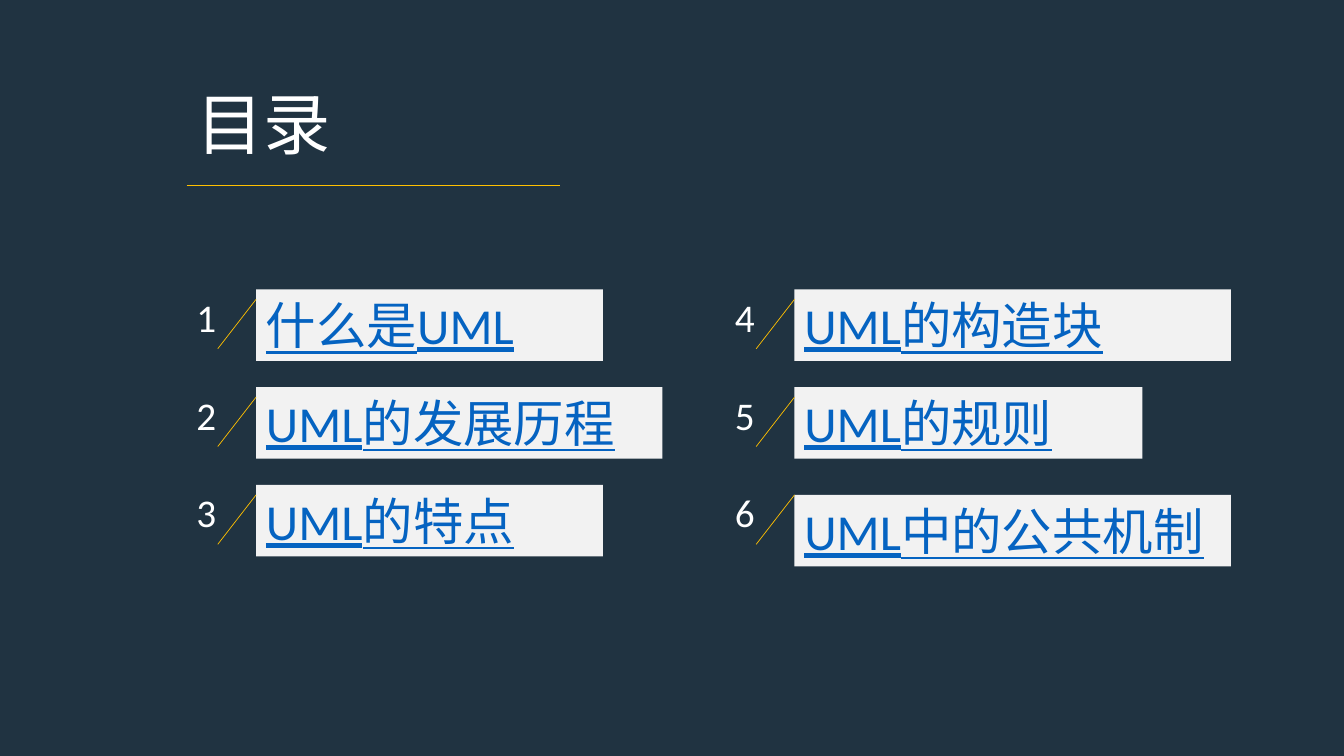
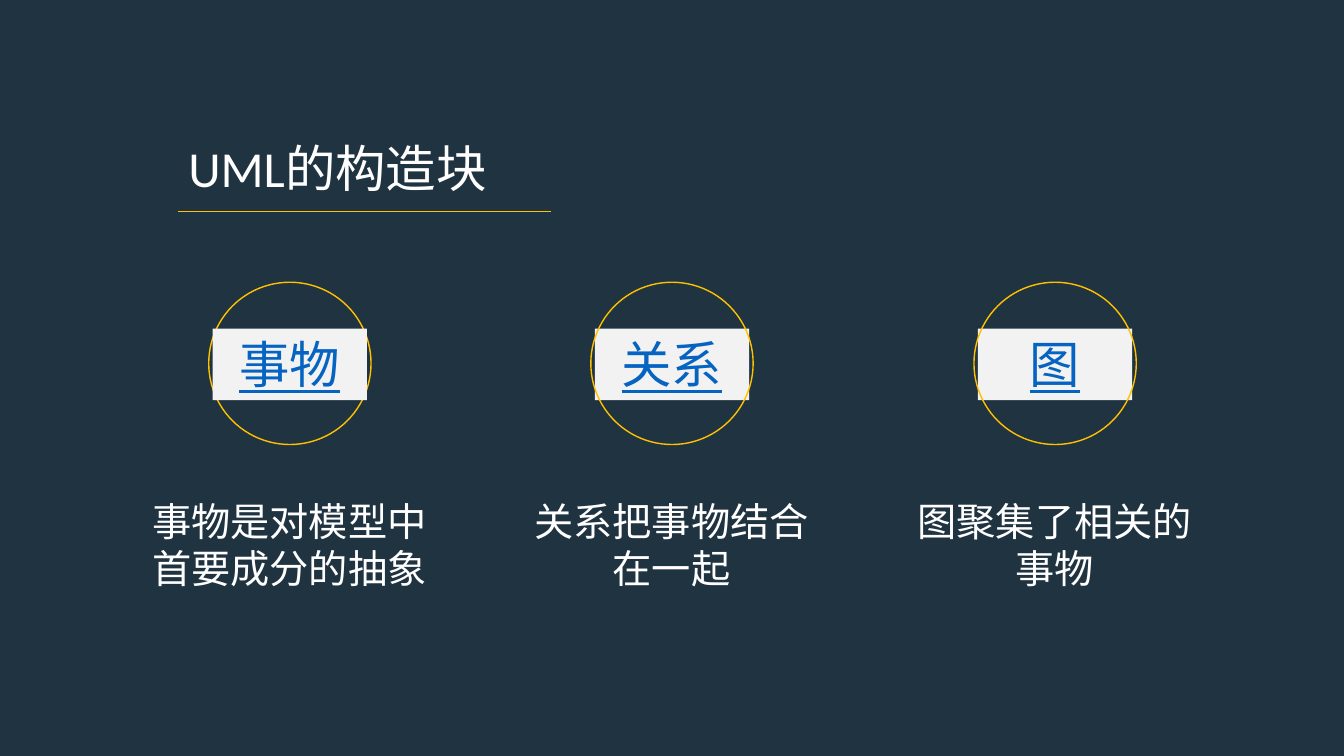
import dataclasses

import pptx
import pptx.dml.color
import pptx.enum.shapes
import pptx.enum.text
import pptx.oxml
import pptx.oxml.ns
import pptx.shapes.base
import pptx.slide
import pptx.util

EMU_PER_PX = 9144
NAVY, GOLD, PALE, WHITE, LINK_BLUE = "203341", "FFC000", "F2F2F2", "FFFFFF", "0563C1"
BODY_FONT, TITLE_FONT = "Calibri", "Noto Sans CJK SC"
LINK_HEIGHT = 71
CENTER = pptx.enum.text.PP_ALIGN.CENTER
Shapes = pptx.enum.shapes.MSO_SHAPE


@dataclasses.dataclass(frozen=True)
class Box:
    left: int
    top: int
    width: int
    height: int

    def emu(self) -> list[pptx.util.Emu]:
        return [px(n) for n in dataclasses.astuple(self)]


@dataclasses.dataclass(frozen=True)
class Chapter:
    title: str
    width: int
    drop: int = 0


@dataclasses.dataclass(frozen=True)
class BuildingBlock:
    name: str
    summary: str
    ring_in_front: bool = True


CHAPTER_COLUMNS = {
    254: [
        Chapter("什么是UML", 344),
        Chapter("UML的发展历程", 403),
        Chapter("UML的特点", 344),
    ],
    788: [
        Chapter("UML的构造块", 433),
        Chapter("UML的规则", 345),
        Chapter("UML中的公共机制", 433, drop=10),
    ],
}
BUILDING_BLOCKS = [
    BuildingBlock("事物", "事物是对模型中首要成分的抽象", ring_in_front=False),
    BuildingBlock("关系", "关系把事物结合在一起"),
    BuildingBlock("图", "图聚集了相关的事物"),
]


def px(length: int) -> pptx.util.Emu:
    return pptx.util.Emu(length * EMU_PER_PX)


def color(value: str) -> pptx.dml.color.RGBColor:
    return pptx.dml.color.RGBColor.from_string(value)


def add_slide(deck) -> pptx.slide.Slide:
    slide = deck.slides.add_slide(deck.slide_layouts[6])
    slide.background.fill.solid()
    slide.background.fill.fore_color.rgb = color(NAVY)
    return slide


def write(shape: pptx.shapes.base.BaseShape, text: str, *, size: int, ink: str = WHITE,
          font: str = BODY_FONT, underline: bool = False,
          align: pptx.enum.text.PP_ALIGN = pptx.enum.text.PP_ALIGN.LEFT) -> None:
    frame = shape.text_frame
    frame.word_wrap = True
    frame.auto_size = pptx.enum.text.MSO_AUTO_SIZE.SHAPE_TO_FIT_TEXT
    frame.vertical_anchor = pptx.enum.text.MSO_ANCHOR.TOP
    paragraph = frame.paragraphs[0]
    paragraph.alignment = align
    run = paragraph.add_run()
    run.text = text
    run.font.name = font
    run.font.size = pptx.util.Pt(size)
    run.font.underline = underline
    run.font.color.rgb = color(ink)


def add_text(slide: pptx.slide.Slide, box: Box, text: str, **text_format) -> None:
    write(slide.shapes.add_textbox(*box.emu()), text, **text_format)


def add_line(slide: pptx.slide.Slide, start: tuple[int, int], end: tuple[int, int],
             weight: float) -> None:
    line = slide.shapes.add_connector(
        pptx.enum.shapes.MSO_CONNECTOR.STRAIGHT, *(px(n) for n in start + end))
    line.line.color.rgb = color(GOLD)
    line.line.width = pptx.util.Pt(weight)
    properties = line._element.spPr
    properties.append(pptx.oxml.parse_xml(
        f"<a:effectLst {pptx.oxml.ns.nsdecls('a')}/>"))


def add_link(slide: pptx.slide.Slide, box: Box, text: str, **text_format) -> None:
    """Draw a pale bar holding text styled as a link."""
    bar = slide.shapes.add_shape(Shapes.RECTANGLE, *box.emu())
    bar.shadow.inherit = False
    bar.fill.solid()
    bar.fill.fore_color.rgb = color(PALE)
    bar.line.fill.background()
    write(bar, text, size=36, ink=LINK_BLUE, underline=True, **text_format)


def add_ring(slide: pptx.slide.Slide, box: Box) -> None:
    ring = slide.shapes.add_shape(Shapes.OVAL, *box.emu())
    ring.shadow.inherit = False
    ring.fill.background()
    ring.line.color.rgb = color(GOLD)
    ring.line.width = pptx.util.Pt(1)


def add_title(slide: pptx.slide.Slide, box: Box, text: str, rule_top: int,
              **text_format) -> None:
    """Write the title above a gold rule of fixed length."""
    add_text(slide, box, text, **text_format)
    add_line(slide, (box.left, rule_top), (box.left + 370, rule_top), 1)


def add_chapter(slide: pptx.slide.Slide, chapter: Chapter, number: int,
                left: int, top: int) -> None:
    add_link(slide, Box(left, top + chapter.drop, chapter.width, LINK_HEIGHT),
             chapter.title)
    add_line(slide, (left, top + 10), (left - 38, top + 59), 0.5)
    add_text(slide, Box(left - 69, top - 1, 36, 57), str(number), size=28)


def add_building_block(slide: pptx.slide.Slide, block: BuildingBlock, left: int) -> None:
    ring = Box(left, 280, 161, 161)
    if not block.ring_in_front:
        add_ring(slide, ring)
    add_link(slide, Box(left + 4, 326, 153, LINK_HEIGHT), block.name, align=CENTER)
    if block.ring_in_front:
        add_ring(slide, ring)
    add_text(slide, Box(left - 74, 488, 308, 104), block.summary, size=28, align=CENTER)


def build_contents(deck) -> None:
    slide = add_slide(deck)
    add_title(slide, Box(185, 77, 211, 91), "目录", 184, size=48, font=TITLE_FONT)
    number = 0
    for left, chapters in CHAPTER_COLUMNS.items():
        for row, chapter in enumerate(chapters):
            number += 1
            add_chapter(slide, chapter, number, left, 287 + 97 * row)


def build_building_blocks(deck) -> None:
    slide = add_slide(deck)
    add_title(slide, Box(177, 131, 344, 71), "UML的构造块", 210, size=36)
    for index, block in enumerate(BUILDING_BLOCKS):
        add_building_block(slide, block, 207 + index * 759 // 2)


def main() -> None:
    deck = pptx.Presentation()
    deck.slide_width, deck.slide_height = px(1333), px(750)
    build_contents(deck)
    build_building_blocks(deck)
    deck.save("out.pptx")


if __name__ == "__main__":
    main()
